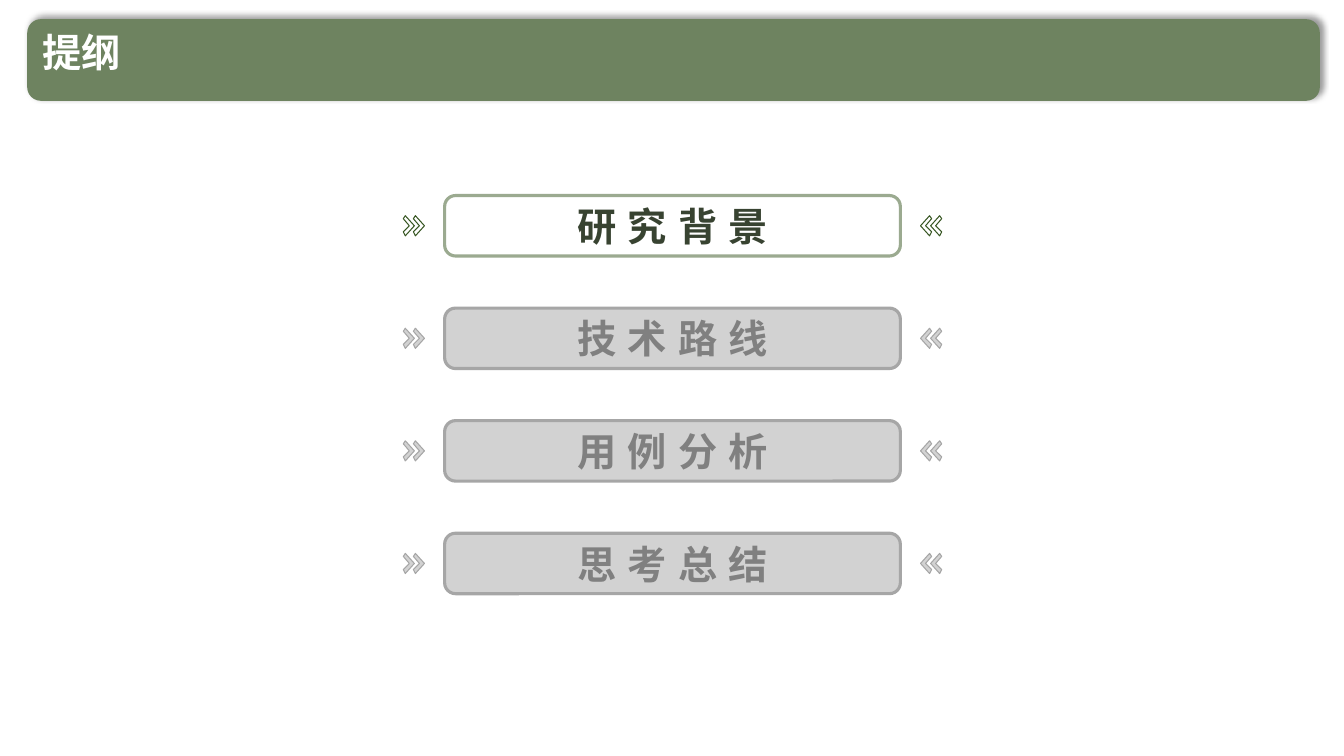
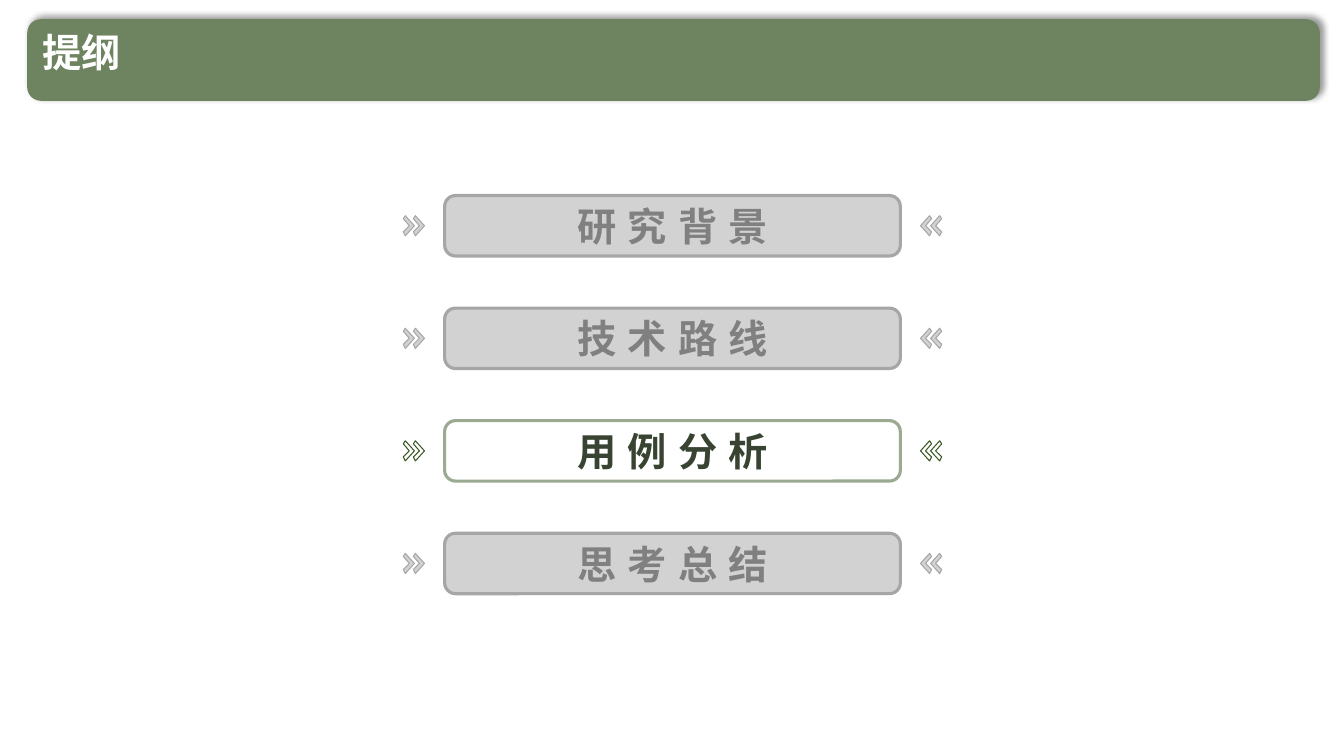
from dataclasses import dataclass

from lxml.etree import SubElement
from pptx import Presentation
from pptx.dml.color import RGBColor
from pptx.enum.shapes import MSO_SHAPE
from pptx.enum.text import MSO_ANCHOR, MSO_AUTO_SIZE, PP_ALIGN
from pptx.oxml.ns import qn
from pptx.util import Inches, Pt


@dataclass(frozen=True)
class ItemStyle:
    text: str
    border: str
    chevron: str
    fill: str | None = None


@dataclass(frozen=True)
class Theme:
    font: str = "Noto Sans CJK SC"
    size: int = 28
    letter_gap: int = 8
    band: str = "6E8360"
    title: str = "FFFFFF"
    shadow: str = "000000"
    border_width: float = 2.25
    chevron_width: float = 0.75
    current: ItemStyle = ItemStyle("384331", "9BAA90", "385723")
    other: ItemStyle = ItemStyle("808080", "A6A6A6", "A6A6A6", "A6A6A6")


THEME = Theme()
HEADING = "提纲"
TOPICS = ["研究背景", "技术路线", "用例分析", "思考总结"]
CURRENT_TOPICS = [0, 2]

# Outline of one chevron pointing right, from its left edge and top
CHEVRON = [(0.02, 0), (0, 0.03), (0.06, 0.1), (0, 0.16), (0.02, 0.2), (0.11, 0.1)]
CHEVRON_HEIGHT = 0.2
CHEVRON_STEP = 0.1
BUTTON_INSET = 0.41


def style_text(paragraph, color, letter_gap=0):
    font = paragraph.font
    font.name, font.size, font.bold = THEME.font, Pt(THEME.size), True
    font.color.rgb = RGBColor.from_string(color)
    properties = paragraph._p.pPr.find(qn("a:defRPr"))
    SubElement(properties, qn("a:ea"), typeface=THEME.font)
    if letter_gap:
        properties.set("spc", str(letter_gap * 100))


def style_shape(shape, fill, line, width):
    shape.shadow.inherit = False
    shape.line.color.rgb = RGBColor.from_string(line)
    shape.line.width = Pt(width)
    if fill is None:
        shape.fill.background()
        return
    shape.fill.solid()
    shape.fill.fore_color.rgb = RGBColor.from_string(fill)
    # Half transparent
    color = shape._element.spPr.find(qn("a:solidFill"))[0]
    SubElement(color, qn("a:alpha"), val="50000")


def add_band(layout, slide, left, top, width, height):
    """Draw the title band and hand it to the layout that all slides share."""
    band = slide.shapes.add_shape(MSO_SHAPE.ROUNDED_RECTANGLE, Inches(left),
                                  Inches(top), Inches(width), Inches(height))
    band.fill.solid()
    band.fill.fore_color.rgb = RGBColor.from_string(THEME.band)
    band.line.fill.background()
    band.shadow.inherit = False
    effects = band._element.spPr.find(qn("a:effectLst"))
    shadow = SubElement(effects, qn("a:outerShdw"), blurRad=str(Pt(4)), dist=str(Pt(3)),
                        dir=str(315 * 60000), algn="bl", rotWithShape="0")
    color = SubElement(shadow, qn("a:srgbClr"), val=THEME.shadow)
    SubElement(color, qn("a:alpha"), val="40000")
    band._element.nvSpPr.cNvPr.set("id", "20")
    layout.shapes._spTree.insert(2, band._element)


def add_title(slide, left, top, width, height):
    title = slide.shapes.title
    title.left, title.top = Inches(left), Inches(top)
    title.width, title.height = Inches(width), Inches(height)
    frame = title.text_frame
    frame.text = HEADING
    frame.auto_size = MSO_AUTO_SIZE.NONE
    frame.vertical_anchor = MSO_ANCHOR.TOP
    paragraph = frame.paragraphs[0]
    paragraph.alignment = PP_ALIGN.LEFT
    paragraph.line_spacing = 0.9
    style_text(paragraph, THEME.title)


def add_chevron(group, edge, top, direction, style):
    """Place a chevron at its outer edge; direction 1 points right, -1 left."""
    points = [(Inches(edge + direction * x), Inches(top + y)) for x, y in CHEVRON]
    builder = group.shapes.build_freeform(*points[0])
    builder.add_line_segments(points[1:], close=True)
    style_shape(builder.convert_to_shape(), style.fill, style.chevron,
                THEME.chevron_width)


def add_topic(slide, topic, style, left, top, width, height):
    group = slide.shapes.add_group_shape()
    # Chevron pairs on both sides
    chevron_top = top + (height - CHEVRON_HEIGHT) / 2
    for edge, direction in ((left, 1), (left + width, -1)):
        for step in range(2):
            add_chevron(group, edge + direction * step * CHEVRON_STEP,
                        chevron_top, direction, style)
    # Button between them
    button = group.shapes.add_shape(
        MSO_SHAPE.ROUNDED_RECTANGLE, Inches(left + BUTTON_INSET), Inches(top),
        Inches(width - 2 * BUTTON_INSET), Inches(height))
    button.adjustments[0] = 0.18
    style_shape(button, style.fill, style.border, THEME.border_width)
    frame = button.text_frame
    frame.text = topic
    frame.vertical_anchor = MSO_ANCHOR.MIDDLE
    paragraph = frame.paragraphs[0]
    paragraph.alignment = PP_ALIGN.CENTER
    style_text(paragraph, style.text, THEME.letter_gap)


def add_agenda(slide, current, left, top, width, height, row_height=0.6):
    pitch = (height - row_height) / (len(TOPICS) - 1)
    for row, topic in enumerate(TOPICS):
        style = THEME.current if row == current else THEME.other
        add_topic(slide, topic, style, left, top + row * pitch, width, row_height)


def main():
    deck = Presentation()
    deck.slide_width, deck.slide_height = Inches(13.33), Inches(7.5)
    layout = deck.slide_layouts[5]
    for current in CURRENT_TOPICS:
        slide = deck.slides.add_slide(layout)
        add_title(slide, 0.32, 0.28, 11.07, 0.62)
        add_agenda(slide, current, 4, 1.94, 5.34, 3.95)
    add_band(layout, deck.slides[0], 0.27, 0.19, 12.82, 0.81)
    deck.save("out.pptx")


if __name__ == "__main__":
    main()
